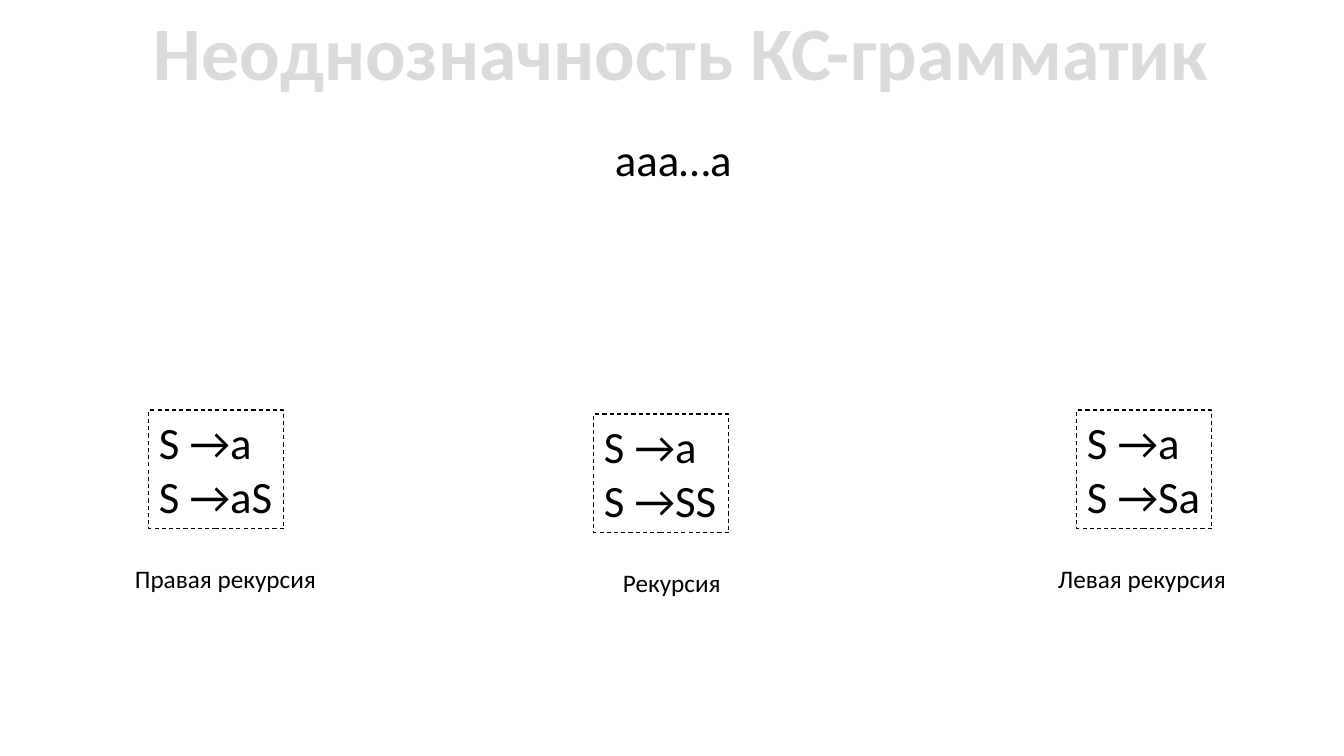
"""Build the slide on ambiguity of context-free grammars."""
from lxml import etree
from pptx import Presentation
from pptx import util as u
from pptx.dml.color import RGBColor
from pptx.enum import dml, shapes, text
from pptx.oxml.ns import qn

COLORS = {"ink": "000000", "title_front": "A5A5A5", "title_back": "DBDBDB", "title_edge": "525252"}
PX = 914400 / 100.8
WIDTH, HEIGHT = 1344, 756

TITLE = ("Неоднозначность КС-грамматик", (135, 0, 1093, 102))
CHAIN = ("aaa…a", (605, 127, 138, 65))
GRAMMARS = [
    (("S →a", "S →aS"), (149, 410), "Правая рекурсия", (125, 204)),
    (("S →a", "S →Sa"), (1077, 410), "Левая рекурсия", (1048, 191)),
    (("S →a", "S →SS"), (594, 414), "Рекурсия", (613, 119)),
]
RULES_SIZE = (135, 119)
CAPTION_DROP, CAPTION_HEIGHT = 148, 40
TITLE_FONT = {"name": "Calibri", "size": u.Pt(54), "bold": True}
FORMULA_FONT = {"name": "Calibri", "size": u.Pt(32)}
CAPTION_FONT = {"name": "Calibri", "size": u.Pt(18)}
FRAME = {
    "word_wrap": False,
    "auto_size": text.MSO_AUTO_SIZE.SHAPE_TO_FIT_TEXT,
    "vertical_anchor": text.MSO_ANCHOR.TOP,
}


def emu(px):
    return round(px * PX)


def rgb(name):
    return RGBColor.from_string(COLORS[name])


def apply(target, values):
    for key, value in values.items():
        setattr(target, key, value)


def write(shape, lines, font, align=text.PP_ALIGN.LEFT):
    frame = shape.text_frame
    frame.text = "\n".join(lines)
    apply(frame, FRAME)
    for paragraph in frame.paragraphs:
        paragraph.alignment = align
        for run in paragraph.runs:
            apply(run.font, font)
            run.font.color.rgb = rgb("ink")


def add_label(slide, line, box, font):
    label = slide.shapes.add_textbox(*map(emu, box))
    write(label, [line], font)


def add_title(slide):
    wording, box = TITLE
    title = slide.shapes.title
    apply(title, dict(zip(("left", "top", "width", "height"), map(emu, box))))
    write(title, [wording], TITLE_FONT, text.PP_ALIGN.CENTER)
    run = title.text_frame.paragraphs[0].runs[0]
    fill = run.font.fill
    fill.patterned()
    fill.pattern = dml.MSO_PATTERN.NARROW_HORIZONTAL
    fill.fore_color.rgb = rgb("title_front")
    fill.back_color.rgb = rgb("title_back")
    edge = etree.Element(qn("a:ln"), w=str(u.Pt(1)))
    edge_fill = etree.SubElement(edge, qn("a:solidFill"))
    etree.SubElement(edge_fill, qn("a:srgbClr"), val=COLORS["title_edge"])
    run.font._element.insert(0, edge)


def add_rules(slide, rules, corner):
    box = slide.shapes.add_shape(shapes.MSO_SHAPE.RECTANGLE, *map(emu, corner + RULES_SIZE))
    box.shadow.inherit = False
    box.fill.background()
    box.line.color.rgb = rgb("ink")
    apply(box.line, {"width": u.Pt(0.75), "dash_style": dml.MSO_LINE.DASH})
    write(box, rules, FORMULA_FONT)


def main():
    deck = Presentation()
    apply(deck, {"slide_width": emu(WIDTH), "slide_height": emu(HEIGHT)})
    slide = deck.slides.add_slide(deck.slide_layouts[5])
    add_title(slide)
    add_label(slide, *CHAIN, FORMULA_FONT)
    for rules, corner, caption, (left, width) in GRAMMARS:
        add_rules(slide, rules, corner)
        caption_box = (left, corner[1] + CAPTION_DROP, width, CAPTION_HEIGHT)
        add_label(slide, caption, caption_box, CAPTION_FONT)
    deck.save("out.pptx")


if __name__ == "__main__":
    main()
